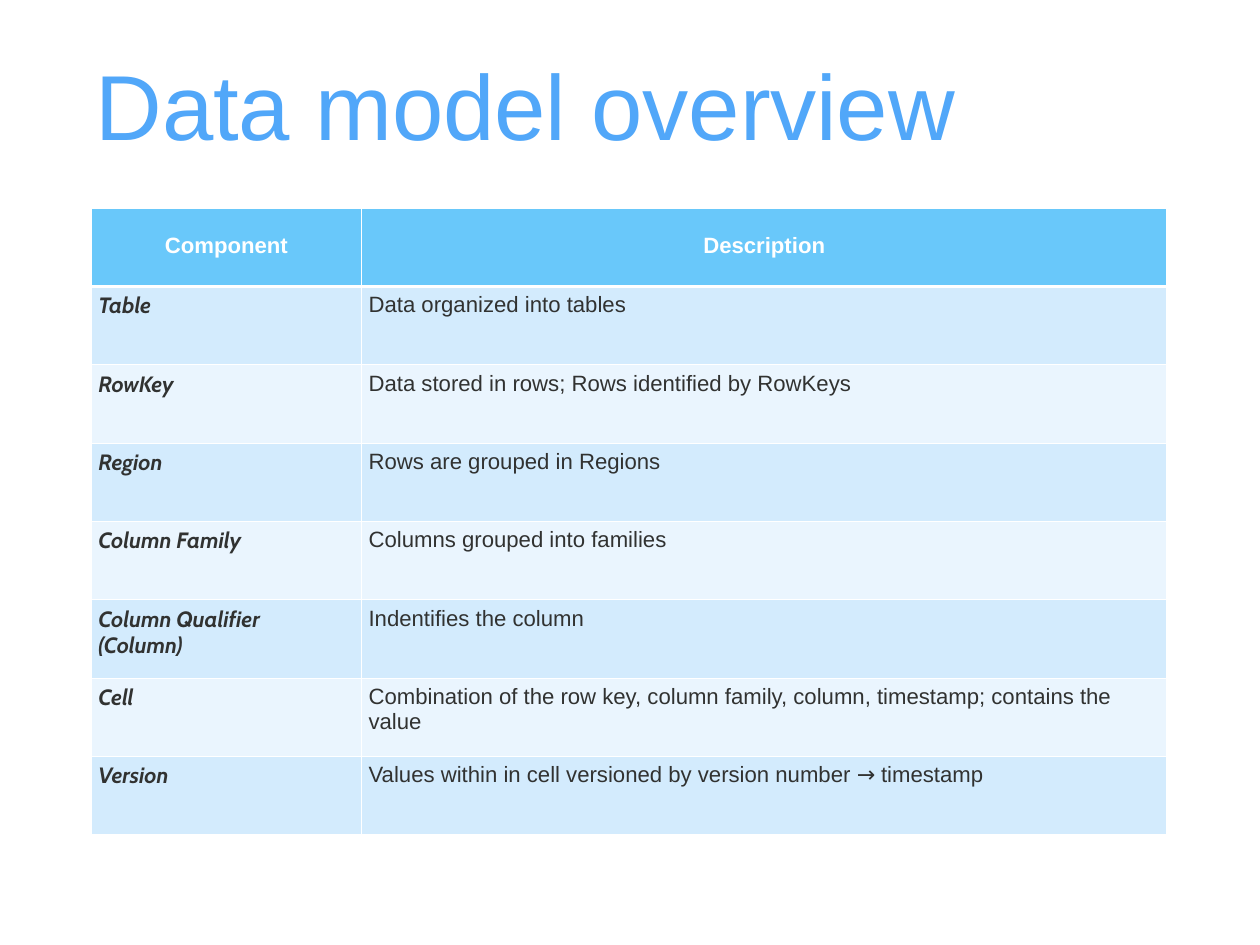
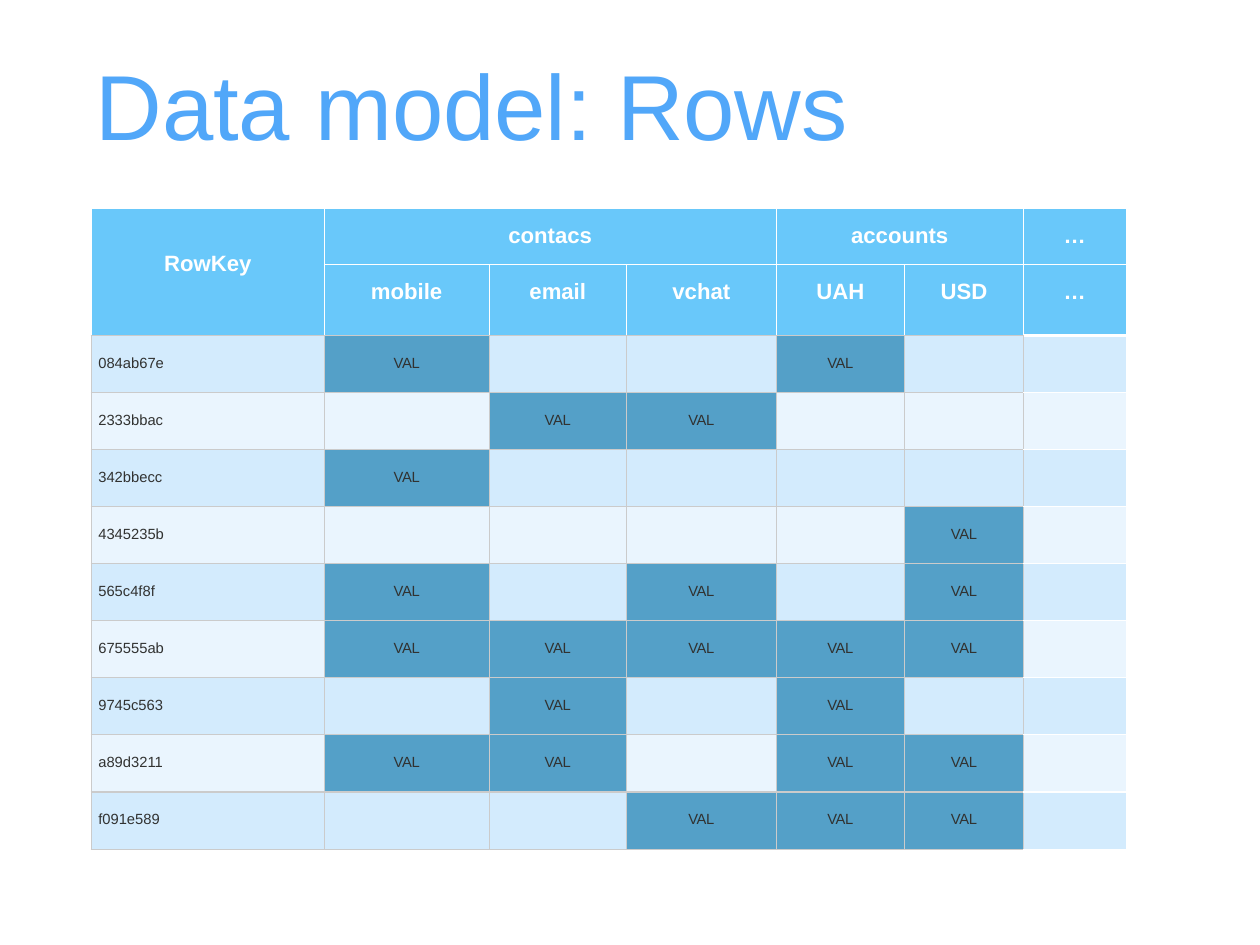
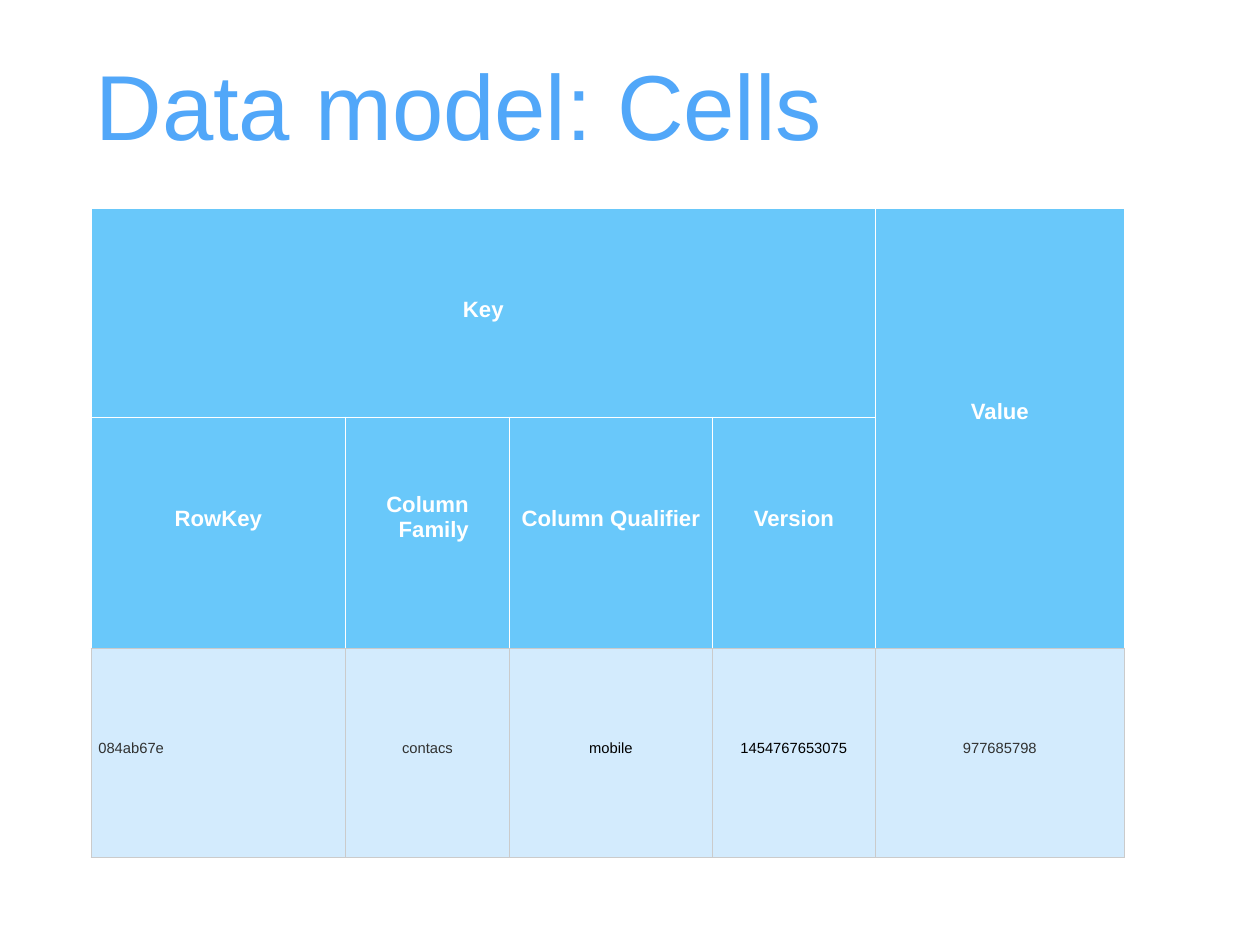
from dataclasses import dataclass, replace

from lxml.etree import SubElement
from pptx import Presentation
from pptx.dml.color import RGBColor
from pptx.enum.text import MSO_ANCHOR, PP_ALIGN
from pptx.oxml.ns import qn
from pptx.util import Inches, Pt

# Shared look
COLORS = {
    "title": "51A7F9",
    "header": "69C8FA",
    "band_dark": "D3EBFD",
    "band_light": "EAF5FE",
    "value": "54A0C8",
    "grid": "CBCBCB",
    "white": "FFFFFF",
    "text": "313231",
    "black": "000000",
}
FONT = "Arial"
TABLE_LEFT, TABLE_TOP = 1.03, 2.35
TITLE_ONLY_LAYOUT = 5
WHITE_LINE = ("white", 1)
THICK_LINE = ("white", 3)
GRID_LINE = ("grid", 1)


@dataclass(frozen=True)
class TextStyle:
    size: int = 18
    color: str = "text"
    font: str = FONT
    bold: bool = False
    italic: bool = False
    align: PP_ALIGN = PP_ALIGN.LEFT
    top: float = 0.07
    left: float = 0.08
    right: float = 0
    hanging: float = 0
    line_points: int = 0
    spacing: int = 0  # hundredths of a point


HEADER = TextStyle(color="white", bold=True, align=PP_ALIGN.CENTER, left=0)
NAME = TextStyle(font="Cabin", bold=True, italic=True, top=0.08, line_points=21)
DESCRIPTION = TextStyle(right=0.12)
ROW_KEY = TextStyle(size=12, top=0.22)
VALUE = replace(ROW_KEY, align=PP_ALIGN.CENTER, left=0, spacing=-30)


def rgb(name):
    return RGBColor.from_string(COLORS[name])


def add_run(paragraph, text, style):
    run = paragraph.add_run()
    run.text = text
    font = run.font
    font.name, font.size = style.font, Pt(style.size)
    font.bold, font.italic = style.bold, style.italic
    font.color.rgb = rgb(style.color)
    if style.spacing:
        run._r.get_or_add_rPr().set("spc", str(style.spacing))


def add_titled_slide(presentation, text, width):
    slide = presentation.slides.add_slide(
        presentation.slide_layouts[TITLE_ONLY_LAYOUT])
    title = slide.shapes.title
    title.left, title.top = Inches(1.08), Inches(0.51)
    title.width, title.height = Inches(width), Inches(1.28)
    frame = title.text_frame
    frame.word_wrap = True
    frame.vertical_anchor = MSO_ANCHOR.BOTTOM
    frame.margin_left = frame.margin_right = 0
    frame.margin_top = frame.margin_bottom = 0
    paragraph = frame.paragraphs[0]
    paragraph.alignment = PP_ALIGN.LEFT
    add_run(paragraph, text, TextStyle(size=75, color="title", spacing=-10))
    return slide


def add_plain_table(slide, widths, heights):
    table = slide.shapes.add_table(
        len(heights), len(widths), Inches(TABLE_LEFT), Inches(TABLE_TOP),
        Inches(sum(widths)), Inches(sum(heights))).table
    table.first_row = table.horz_banding = False
    for column, width in zip(table.columns, widths):
        column.width = Inches(width)
    for row, height in zip(table.rows, heights):
        row.height = Inches(height)
    return table


def paint_cell(cell, fill, line, **edges):
    """Set fill and borders; edges override line by side: L, R, T, B."""
    properties = cell._tc.get_or_add_tcPr()
    for side in "LRTB":
        color, points = edges.get(side, line)
        border = SubElement(properties, qn(f"a:ln{side}"), w=str(Pt(points)))
        solid = SubElement(border, qn("a:solidFill"))
        SubElement(solid, qn("a:srgbClr"), val=COLORS[color])
    cell.fill.solid()
    cell.fill.fore_color.rgb = rgb(fill)
    cell.margin_left = cell.margin_right = 0
    cell.margin_top = cell.margin_bottom = 0


def write_cell(cell, text, style):
    cell.margin_top = Inches(style.top)
    cell.margin_right = Inches(style.right)
    paragraph = cell.text_frame.paragraphs[0]
    paragraph.alignment = style.align
    properties = paragraph._p.get_or_add_pPr()
    properties.set("marL", str(Inches(style.left)))
    properties.set("indent", str(Inches(-style.hanging)))
    if style.line_points:
        paragraph.line_spacing = Pt(style.line_points)
    for number, line in enumerate(text.split("\n")):
        if number:
            paragraph.add_line_break()
        before, arrow, after = line.partition("→ ")
        add_run(paragraph, before, style)
        if arrow:
            add_run(paragraph, arrow, replace(style, font="League Spartan"))
            add_run(paragraph, after, style)


def band(index):
    return "band_light" if index % 2 else "band_dark"


def build_overview(presentation):
    slide = add_titled_slide(presentation, "Data model overview", 9.8)
    components = [
        ("Table", "Data organized into tables"),
        ("RowKey", "Data stored in rows; Rows identified by RowKeys"),
        ("Region", "Rows are grouped in Regions"),
        ("Column Family", "Columns grouped into families"),
        ("Column Qualifier\n(Column)", "Indentifies the column"),
        ("Cell", "Combination of the row key, column family, column, "
                 "timestamp; contains the value"),
        ("Version", "Values within in cell versioned by version number "
                    "→ timestamp"),
    ]
    row_count = len(components) + 1
    table = add_plain_table(slide, [3.05, 9.09], [7.08 / row_count] * row_count)
    for column, heading in enumerate(("Component", "Description")):
        cell = table.cell(0, column)
        paint_cell(cell, "header", WHITE_LINE, B=THICK_LINE)
        write_cell(cell, heading, replace(HEADER, top=0.28))
    for index, texts in enumerate(components):
        top_line = WHITE_LINE if index else THICK_LINE
        for column, style in enumerate((NAME, DESCRIPTION)):
            cell = table.cell(index + 1, column)
            paint_cell(cell, band(index), WHITE_LINE, T=top_line)
            write_cell(cell, texts[column], style)


def build_rows(presentation):
    slide = add_titled_slide(presentation, "Data model: Rows", 8.54)
    # One mark per column: x holds a value, - is empty
    records = [
        ("084ab67e", "x--x--"),
        ("2333bbac", "-xx---"),
        ("342bbecc", "x-----"),
        ("4345235b", "----x-"),
        ("565c4f8f", "x-x-x-"),
        ("675555ab", "xxxxx-"),
        ("9745c563", "-x-x--"),
        ("a89d3211", "xx-xx-"),
        ("f091e589", "--xxx-"),
    ]
    widths = [2.63, 1.86, 1.55, 1.69, 1.45, 1.34, 1.16]
    last = len(widths) - 1
    header_heights = [0.64, 0.8]
    record_height = (7.24 - sum(header_heights)) / len(records)
    table = add_plain_table(
        slide, widths, header_heights + [record_height] * len(records))

    # Two header rows
    for column in range(len(widths)):
        bottom = THICK_LINE if column == last else GRID_LINE
        paint_cell(table.cell(0, column), "header", WHITE_LINE,
                   B=WHITE_LINE if column else GRID_LINE)
        paint_cell(table.cell(1, column), "header", WHITE_LINE, B=bottom)
    table.cell(0, 0).merge(table.cell(1, 0))
    table.cell(0, 1).merge(table.cell(0, 3))
    table.cell(0, 4).merge(table.cell(0, 5))
    write_cell(table.cell(0, 0), "RowKey", replace(HEADER, top=0.49))
    heading = replace(HEADER, top=0.17)
    for column, text in ((1, "contacs"), (4, "accounts"), (last, "…")):
        write_cell(table.cell(0, column), text, heading)
    qualifiers = ("mobile", "email", "vchat", "UAH", "USD", "…")
    for column, text in enumerate(qualifiers, 1):
        write_cell(table.cell(1, column), text, heading)

    # Records
    for index, (key, marks) in enumerate(records):
        row = index + len(header_heights)
        key_cell = table.cell(row, 0)
        paint_cell(key_cell, band(index), GRID_LINE)
        write_cell(key_cell, key, ROW_KEY)
        for column, mark in enumerate(marks, 1):
            cell = table.cell(row, column)
            fill = "value" if mark == "x" else band(index)
            if column == last:
                paint_cell(cell, fill, WHITE_LINE, L=GRID_LINE,
                           T=WHITE_LINE if index else THICK_LINE)
            else:
                paint_cell(cell, fill, GRID_LINE)
            if mark == "x":
                write_cell(cell, "VAL", VALUE)


def build_cells(presentation):
    slide = add_titled_slide(presentation, "Data model: Cells", 8.25)
    widths = [2.87, 1.85, 2.29, 1.84, 2.81]
    last = len(widths) - 1
    table = add_plain_table(slide, widths, [2.36, 2.61, 2.36])
    for column in range(len(widths)):
        paint_cell(table.cell(0, column), "header", WHITE_LINE,
                   B=GRID_LINE if column == last else WHITE_LINE)
        paint_cell(table.cell(1, column), "header", WHITE_LINE, B=GRID_LINE)
        paint_cell(table.cell(2, column), "band_dark", GRID_LINE)
    table.cell(0, 0).merge(table.cell(0, last - 1))
    table.cell(0, last).merge(table.cell(1, last))

    # Headings
    heading = replace(HEADER, top=1.01)
    write_cell(table.cell(0, 0), "Key", heading)
    write_cell(table.cell(0, last), "Value", replace(HEADER, top=2.16))
    family = replace(HEADER, top=0.85, align=PP_ALIGN.LEFT, left=0.6,
                     hanging=0.14)
    headings = (("RowKey", heading), ("Column Family", family),
                ("Column Qualifier", heading), ("Version", heading))
    for column, (text, style) in enumerate(headings):
        write_cell(table.cell(1, column), text, style)

    # Sample record
    key = replace(ROW_KEY, top=1.04)
    plain = replace(key, align=PP_ALIGN.CENTER, left=0)
    strong = replace(plain, color="black")
    record = (("084ab67e", key), ("contacs", plain), ("mobile", strong),
              ("1454767653075", strong), ("977685798", plain))
    for column, (text, style) in enumerate(record):
        write_cell(table.cell(2, column), text, style)


def main():
    presentation = Presentation()
    presentation.slide_width = Inches(14.22)
    presentation.slide_height = Inches(10.67)
    build_overview(presentation)
    build_rows(presentation)
    build_cells(presentation)
    presentation.save("out.pptx")


if __name__ == "__main__":
    main()
